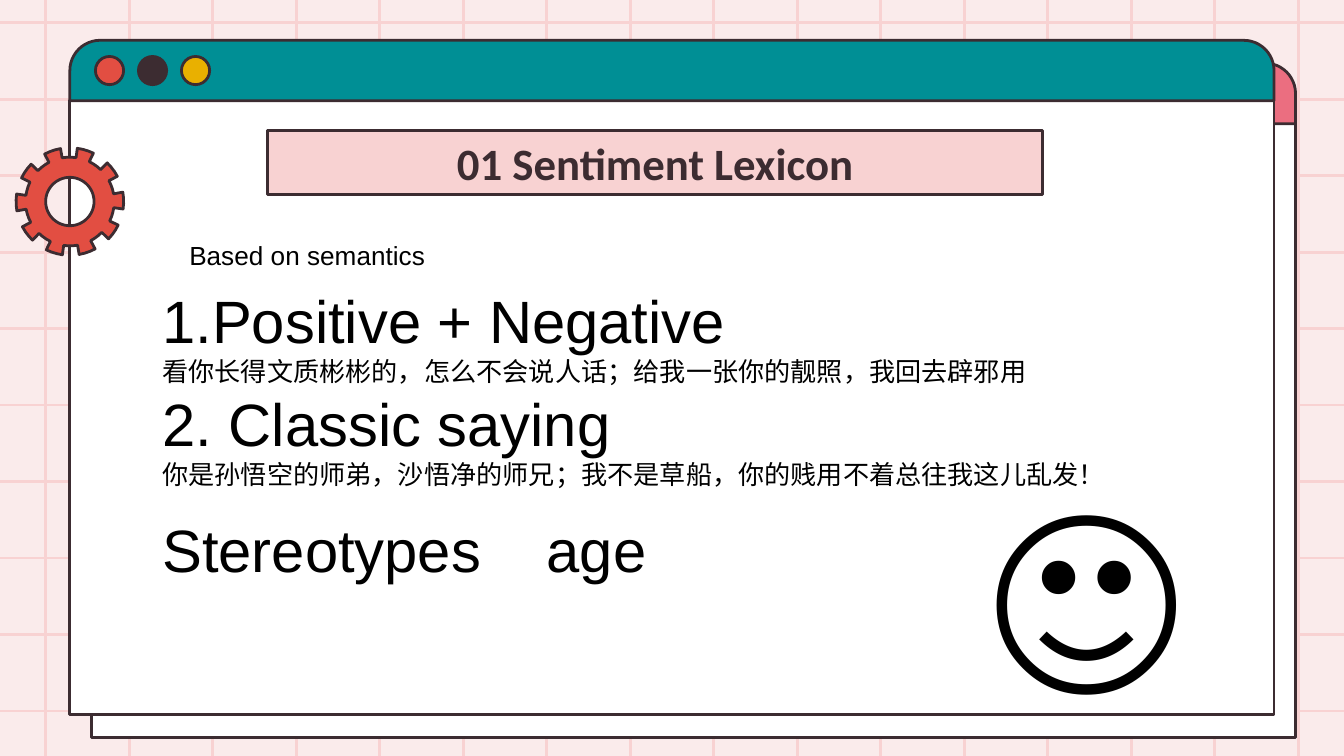
from math import cos, radians, sin

from lxml import etree
from pptx import Presentation
from pptx.dml.color import RGBColor
from pptx.enum.shapes import MSO_CONNECTOR, MSO_SHAPE
from pptx.enum.text import MSO_ANCHOR, PP_ALIGN
from pptx.oxml.ns import qn
from pptx.util import Inches, Pt

BLUSH = RGBColor(0xFA, 0xEB, 0xEB)
PINK = RGBColor(0xF8, 0xD2, 0xD2)
ROSE = RGBColor(0xEB, 0x6E, 0x80)
TEAL = RGBColor(0x00, 0x8F, 0x95)
RED = RGBColor(0xE2, 0x4E, 0x42)
YELLOW = RGBColor(0xE9, 0xB0, 0x00)
DARK = RGBColor(0x3C, 0x2C, 0x31)
WHITE = RGBColor(0xFF, 0xFF, 0xFF)
BLACK = RGBColor(0x00, 0x00, 0x00)

# 16:9 slide
prs = Presentation()
prs.slide_width, prs.slide_height = Inches(10), Inches(10 * 9 / 16)
s = prs.slides.add_slide(prs.slide_layouts[6])
s.background.fill.solid()
s.background.fill.fore_color.rgb = BLUSH


def paint(sp, color):
    sp.shadow.inherit = False
    sp.fill.solid()
    sp.fill.fore_color.rgb = color
    sp.line.color.rgb = DARK
    sp.line.width = Pt(1.5)


def add_box(kind, x, y, w, h, color):
    sp = s.shapes.add_shape(kind, Inches(x), Inches(y), Inches(w), Inches(h))
    paint(sp, color)
    return sp


# Background grid: 16 vertical and 10 horizontal lines
grid = []
for i in range(16):
    x = 0.34 + i * 9.32 / 15
    grid.append((x, 5.82, x, -0.36))
for i in range(10):
    y = 0.17 + i * 5.12 / 9
    grid.append((-0.22, y, 10.22, y))
for ends in grid:
    line = s.shapes.add_connector(MSO_CONNECTOR.STRAIGHT, *[Inches(v) for v in ends])
    line.line.color.rgb = PINK
    line.line.width = Pt(1.5)
    etree.SubElement(line._element.spPr, qn("a:effectLst"))

# Two stacked browser windows, back then front
for x, y, bar_color in ((0.68, 0.47, ROSE), (0.52, 0.3, TEAL)):
    add_box(MSO_SHAPE.RECTANGLE, x, y + 0.45, 8.96, 4.57, WHITE)
    bar = add_box(MSO_SHAPE.ROUND_2_SAME_RECTANGLE, x, y, 8.96, 0.45, bar_color)
    bar.adjustments[0] = 0.5
    for i, color in enumerate((RED, DARK, YELLOW)):
        add_box(MSO_SHAPE.OVAL, x + 0.19 + 0.32 * i, y + 0.12, 0.21, 0.21, color)

# Gear: ten teeth of 18 degrees with equal gaps, and a round hole
cx, cy = 0.52, 1.5
rim = []
for edge in range(20):
    radius = 0.33 if edge % 2 else 0.4
    for turn in (0, 6, 12, 18):
        a = radians(18 * edge - 10 + turn)
        rim.append((Inches(cx + radius * cos(a)), Inches(cy + radius * sin(a))))
hole = []
for turn in range(0, 360, 6):
    a = radians(-turn)
    hole.append((Inches(cx + 0.18 * cos(a)), Inches(cy + 0.18 * sin(a))))
gear = s.shapes.build_freeform(*rim[0])
gear.add_line_segments(rim[1:])
gear.move_to(*hole[0])
gear.add_line_segments(hole[1:])
paint(gear.convert_to_shape(), RED)

# Title
title = add_box(MSO_SHAPE.RECTANGLE, 1.99, 0.97, 5.77, 0.48, PINK)
tf = title.text_frame
tf.vertical_anchor = MSO_ANCHOR.MIDDLE
p = tf.paragraphs[0]
p.text = "01 Sentiment Lexicon"
p.alignment = PP_ALIGN.CENTER
p.font.name, p.font.size, p.font.bold = "Calibri", Pt(24), True
p.font.color.rgb = DARK

# Body texts: position, then (text, size) for each paragraph
texts = [
    (1.31, 1.73, 2.08, 0.34, [("Based on semantics", 14)]),
    (1.11, 2.06, 7.95, 1.65, [
        ("1.Positive + Negative", 32),
        ("看你长得文质彬彬的，怎么不会说人话；给我一张你的靓照，我回去辟邪用", 14),
        ("2. Classic saying", 32),
        ("你是孙悟空的师弟，沙悟净的师兄；我不是草船，你的贱用不着总往我这儿乱发！", 14),
    ]),
    (1.11, 3.77, 4.11, 0.64, [("Stereotypes\tage", 32)]),
    (7.26, 3.31, 2.69, 2.04, [("🙂", 115)]),
]
for x, y, w, h, lines in texts:
    box = s.shapes.add_textbox(Inches(x), Inches(y), Inches(w), Inches(h))
    tf = box.text_frame
    tf.word_wrap = True
    for i, (text, size) in enumerate(lines):
        p = tf.add_paragraph() if i else tf.paragraphs[0]
        p.text = text
        if "\t" in text:
            tabs = etree.SubElement(p._p.get_or_add_pPr(), qn("a:tabLst"))
            etree.SubElement(tabs, qn("a:tab"), pos=str(Inches(2.86)), algn="l")
        p.font.name, p.font.size = "Arial", Pt(size)
        p.font.color.rgb = BLACK

prs.save("out.pptx")
